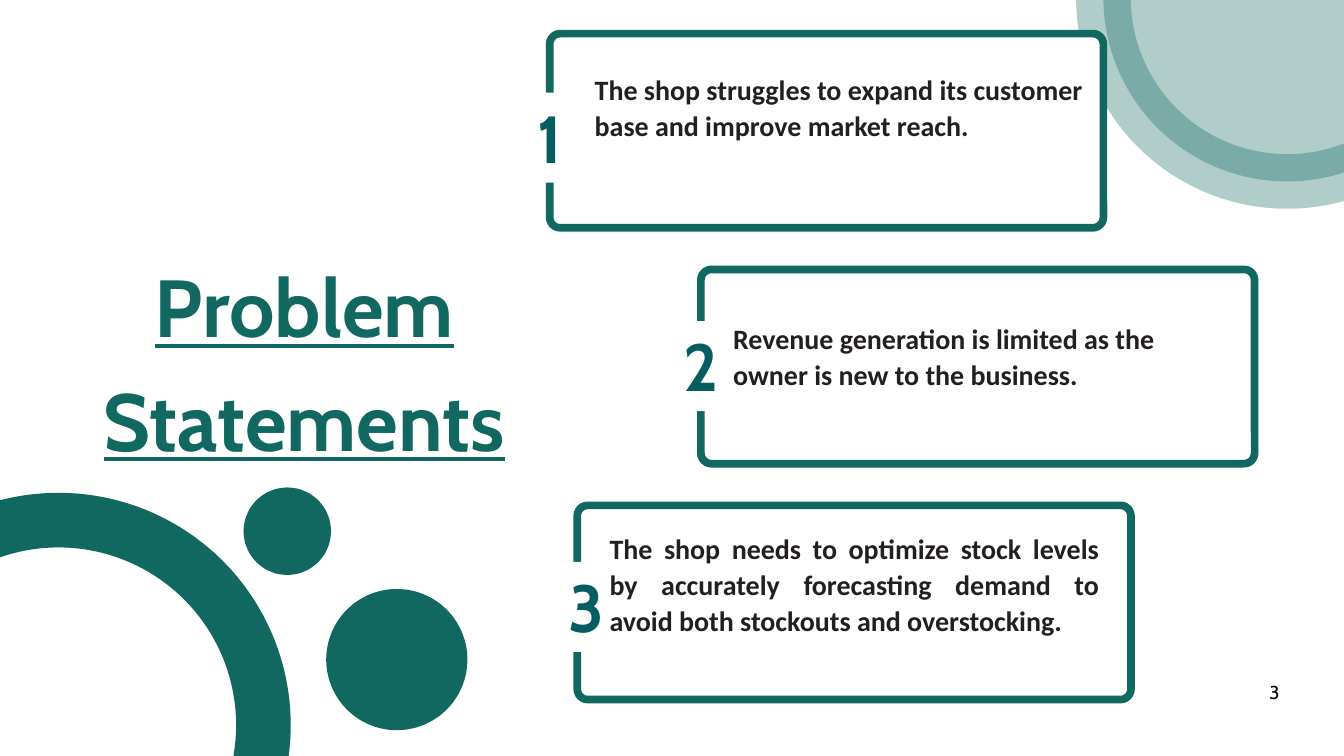
from lxml import etree
from pptx import Presentation
from pptx.dml.color import RGBColor
from pptx.enum import shapes, text
from pptx.oxml.ns import qn
from pptx.util import Inches, Pt

GREEN = RGBColor(0x10, 0x68, 0x61)
TEAL = RGBColor(0x03, 0x5D, 0x61)
INK = RGBColor(0x23, 0x1F, 0x20)
BLACK = RGBColor(0, 0, 0)
WHITE = RGBColor(0xFF, 0xFF, 0xFF)

TITLE = dict(name="Cabin", size=Pt(86.7), bold=True, underline=True)
NUMBER = dict(name="Cabin", size=Pt(71.3), bold=True)
BODY = dict(name="Calibri", size=Pt(30), bold=True)
PAGE = dict(name="Cabin", size=Pt(20))

LEFT, CENTER, JUSTIFY = (text.PP_ALIGN.LEFT, text.PP_ALIGN.CENTER,
                         text.PP_ALIGN.JUSTIFY)

CIRCLES = [
    (-2.18, 7.74, 6.1, None, None),
    (4.03, 7.66, 0.49, GREEN, None),
    (16.42, -2.77, 5.47, GREEN, 33),
    (5.26, 9.17, 1.29, GREEN, None),
]

CARDS = [
    ((8.18, 0.5), 0, 0.74, (0.67, 0.55), LEFT,
     "The shop struggles to expand its customer base and improve market reach."),
    ((10.43, 4.01), 0, 0.63, (0.48, 0.74), LEFT,
     "Revenue generation is limited as the owner is new to the business."),
    ((8.59, 7.52), 0.13, 0.7, (0.48, 0.36), JUSTIFY,
     "The shop needs to optimize stock levels by accurately forecasting "
     "demand to avoid both stockouts and overstocking."),
]


def write(sp, box, words, font, color, spacing, align, wrap=True):
    """Place a text shape and fill it with one formatted paragraph."""
    sp.left, sp.top, sp.width, sp.height = map(Inches, box)
    tf = sp.text_frame
    frame = dict(margin_left=0, margin_top=0, margin_right=0, margin_bottom=0,
                 word_wrap=wrap, auto_size=text.MSO_AUTO_SIZE.NONE,
                 vertical_anchor=text.MSO_ANCHOR.TOP)
    for key, value in frame.items():
        setattr(tf, key, value)
    p = tf.paragraphs[0]
    p.alignment, p.line_spacing = align, Pt(spacing)
    r = p.add_run()
    r.text = words
    for key, value in font.items():
        setattr(r.font, key, value)
    r.font.color.rgb = color


def add_text(s, box, *args, **kwargs):
    """Add a text box and write in it."""
    write(s.shapes.add_textbox(0, 0, 0, 0), box, *args, **kwargs)


def add_panel(s, kind, box, fill=None, line=None, weight=0):
    """Add a flat shape with an optional fill and outline."""
    sp = s.shapes.add_shape(kind, *map(Inches, box))
    sp.shadow.inherit = False
    if fill is None:
        sp.fill.background()
    else:
        sp.fill.solid()
        sp.fill.fore_color.rgb = fill
    if line is None:
        sp.line.fill.background()
    else:
        sp.line.color.rgb = line
        sp.line.width = Pt(weight)
    return sp


def add_circle(s, x, y, size, fill, opacity):
    """Add a thick-edged circle, see-through if an opacity is given."""
    sp = add_panel(s, shapes.MSO_SHAPE.OVAL, (x, y, size, size), fill, GREEN, 58.5)
    if opacity:
        for color in sp._element.spPr.iter(qn("a:srgbClr")):
            etree.SubElement(color, qn("a:alpha"), val=str(opacity * 1000))


def add_card(s, corner, number, shift, number_top, offset, align, words):
    """Add a rounded card whose left edge is broken by its number."""
    x, y = corner
    card = add_panel(s, shapes.MSO_SHAPE.ROUNDED_RECTANGLE,
                     (x, y, 8.24, 2.89), WHITE, GREEN, 8.25)
    card.adjustments[0] = 0.054
    add_panel(s, shapes.MSO_SHAPE.RECTANGLE,
              (x - 0.67, y + number_top + 0.14, 1.34, 1.34), WHITE)
    add_text(s, (x + shift - 0.3, y + number_top, 0.6, 1.33), str(number),
             NUMBER, TEAL, 99.8, CENTER)
    add_text(s, (x + offset[0], y + offset[1], 7.29, 2.12), words,
             BODY, INK, 38.4, align)


def build_slide(prs):
    """Build the problem statements slide."""
    s = prs.slides.add_slide(prs.slide_layouts[5])
    write(s.shapes.title, (-0.41, 3.58, 9.88, 3.3), "Problem Statements",
          TITLE, GREEN, 121.4, CENTER)
    for circle in CIRCLES:
        add_circle(s, *circle)
    for number, (corner, *rest) in enumerate(CARDS, 1):
        add_card(s, corner, number, *rest)
    add_text(s, (18.88, 10.07, 0.17, 0.22), "3", PAGE, BLACK, 28, CENTER, wrap=False)


def main():
    """Create the presentation and save it."""
    prs = Presentation()
    prs.slide_width, prs.slide_height = Inches(20), Inches(11.25)
    build_slide(prs)
    prs.save("out.pptx")


if __name__ == "__main__":
    main()
